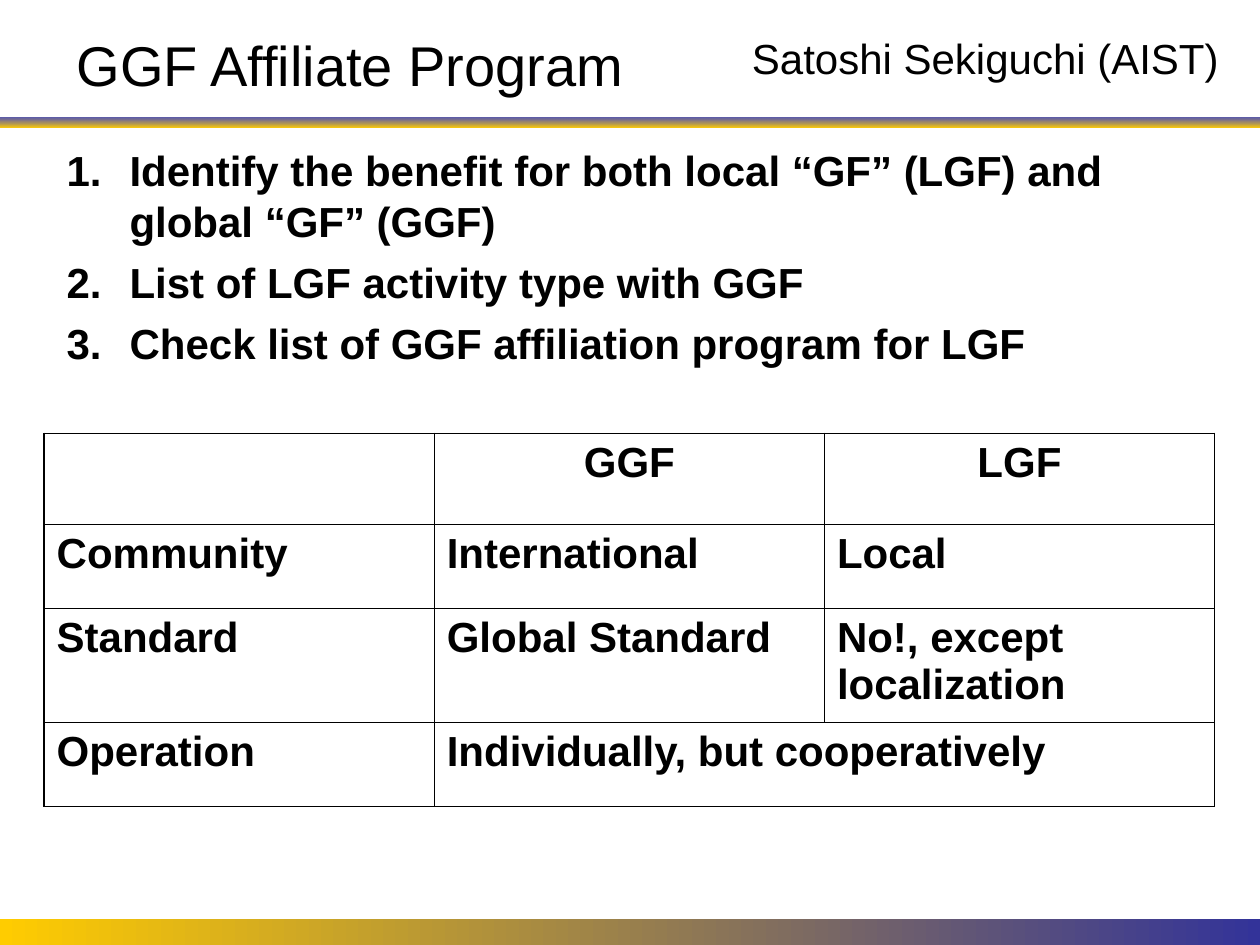
"""Build the GGF Affiliate Program slide."""
import pptx
import pptx.dml.color
import pptx.enum.shapes
import pptx.enum.text
import pptx.oxml
import pptx.oxml.ns
import pptx.util
from lxml import etree

WIDTH, HEIGHT = 10, 7.5
COLORS = {"ink": "000000", "indigo": "333399", "gold": "FFCC00"}
TITLE = "GGF Affiliate Program"
SPEAKER = "Satoshi Sekiguchi (AIST)"
GOALS = [
    "Identify the benefit for both local “GF” (LGF) and global “GF” (GGF)",
    "List of LGF activity type with GGF",
    "Check list of GGF affiliation program for LGF",
]
COMPARISON = [
    ("", "GGF", "LGF"),
    ("Community", "International", "Local"),
    ("Standard", "Global Standard", "No!, except localization"),
    ("Operation", "Individually, but cooperatively", ""),
]
ROW_HEIGHTS = [0.72, 0.67, 0.9, 0.67]
BANDS = [
    {"top": 0.93, "height": 0.08, "angle": 270, "alpha": 80},
    {"top": 7.29, "height": 0.21, "angle": 180, "alpha": 100},
]
PLAIN = {"name": "Arial", "size": pptx.util.Pt(24), "bold": False}
TITLE_FONT = {**PLAIN, "size": pptx.util.Pt(32)}
STRONG = {**PLAIN, "bold": True}
OUTER, INNER = 1.08, 0.45


def inches(*lengths):
    return [pptx.util.Inches(length) for length in lengths]


def color(name):
    return pptx.dml.color.RGBColor.from_string(COLORS[name])


def child(parent, tag, **attributes):
    return etree.SubElement(parent, pptx.oxml.ns.qn(tag), attributes)


def write(paragraph, text, font):
    paragraph.text = text
    for key, value in font.items():
        setattr(paragraph.font, key, value)
    paragraph.font.color.rgb = color("ink")


def add_box(slide, place, wrap=True, anchor="TOP"):
    frame = slide.shapes.add_textbox(*inches(*place)).text_frame
    frame.word_wrap = wrap
    frame.vertical_anchor = getattr(pptx.enum.text.MSO_ANCHOR, anchor)
    return frame


def add_band(slide, band):
    bar = slide.shapes.add_shape(
        pptx.enum.shapes.MSO_SHAPE.RECTANGLE, *inches(0, band["top"], WIDTH, band["height"]))
    bar.shadow.inherit = False
    bar.line.fill.background()
    bar.fill.gradient()
    bar.fill.gradient_angle = band["angle"]
    for stop, name in zip(bar.fill.gradient_stops, ("indigo", "gold")):
        stop.color.rgb = color(name)
    if band["alpha"] < 100:
        first = next(bar.fill._xPr.iter(pptx.oxml.ns.qn("a:srgbClr")))
        child(first, "a:alpha", val=str(band["alpha"] * 1000))


def add_goals(slide):
    frame = add_box(slide, (0.43, 1.1, 9.29, 2.1))
    for number, goal in enumerate(GOALS):
        paragraph = frame.add_paragraph() if number else frame.paragraphs[0]
        if number:
            paragraph.space_before = pptx.util.Pt(6)
        properties = paragraph._p.get_or_add_pPr()
        indent = pptx.util.Inches(0.5)
        properties.set("marL", str(indent))
        properties.set("indent", str(-indent))
        child(child(properties, "a:buClr"), "a:srgbClr", val=COLORS["ink"])
        child(properties, "a:buAutoNum", type="arabicPeriod")
        write(paragraph, goal, STRONG)


def set_borders(cell, edges):
    properties = cell._tc.get_or_add_tcPr()
    for side, is_outer in edges.items():
        width = pptx.util.Pt(OUTER if is_outer else INNER)
        line = child(properties, "a:ln" + side, w=str(width))
        child(child(line, "a:solidFill"), "a:srgbClr", val=COLORS["ink"])
    cell.fill.background()


def add_comparison(slide):
    last_row, last_column = len(COMPARISON) - 1, len(COMPARISON[0]) - 1
    table = slide.shapes.add_table(
        last_row + 1, last_column + 1, *inches(0.35, 3.44, 9.29, sum(ROW_HEIGHTS))).table
    table.first_row = table.horz_banding = False
    for row, height in zip(table.rows, ROW_HEIGHTS):
        row.height = pptx.util.Inches(height)
    table.cell(last_row, 1).merge(table.cell(last_row, last_column))
    for r, entries in enumerate(COMPARISON):
        for c, entry in enumerate(entries):
            cell = table.cell(r, c)
            paragraph = cell.text_frame.paragraphs[0]
            write(paragraph, entry, STRONG)
            if r == 0:
                paragraph.alignment = pptx.enum.text.PP_ALIGN.CENTER
            right = c == last_column or (cell.is_merge_origin and c + cell.span_width > last_column)
            set_borders(cell, {"L": c == 0, "R": right, "T": r == 0, "B": r == last_row})


def main():
    deck = pptx.Presentation()
    deck.slide_width, deck.slide_height = inches(WIDTH, HEIGHT)
    slide = deck.slides.add_slide(deck.slide_layouts[6])
    for band in BANDS:
        add_band(slide, band)
    write(add_box(slide, (0.51, 0.18, 9.15, 0.66), anchor="MIDDLE").paragraphs[0], TITLE, TITLE_FONT)
    add_goals(slide)
    add_comparison(slide)
    write(add_box(slide, (5.87, 0.21, 4, 0.5), wrap=False).paragraphs[0], SPEAKER, PLAIN)
    deck.save("out.pptx")


if __name__ == "__main__":
    main()
